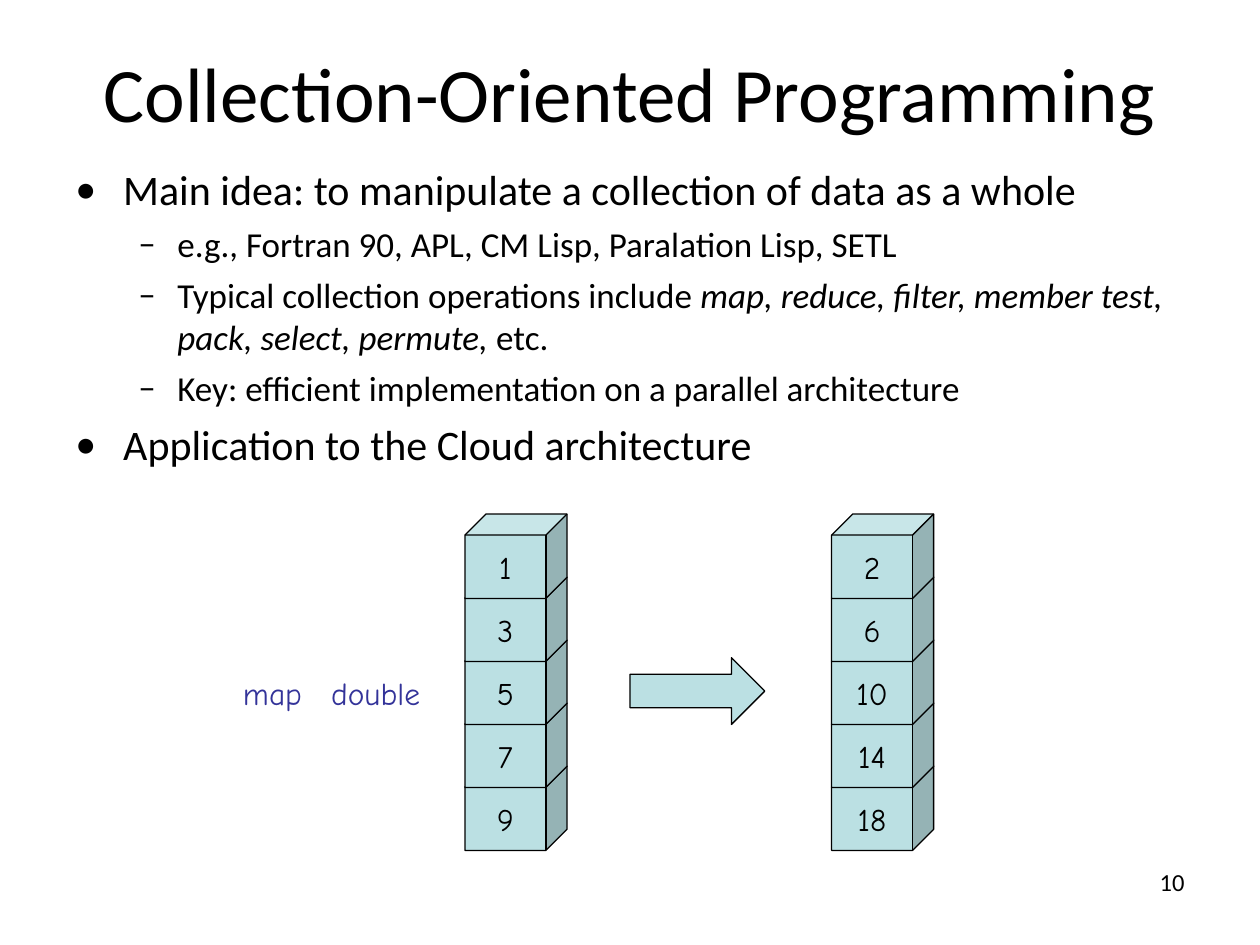
import dataclasses

import pptx
import pptx.dml.color
import pptx.enum.shapes
import pptx.enum.text
import pptx.oxml.ns
import pptx.util
from lxml import etree

Inches = pptx.util.Inches
Pt = pptx.util.Pt
Align = pptx.enum.text.PP_ALIGN
Anchor = pptx.enum.text.MSO_ANCHOR
Preset = pptx.enum.shapes.MSO_SHAPE


@dataclasses.dataclass(frozen=True)
class Theme:
    body_font: str = "Calibri"
    diagram_font: str = "Comic Neue"
    black: str = "000000"
    function_blue: str = "333399"
    cube_fill: str = "BBE0E3"
    title_size: int = 44
    diagram_size: int = 18
    number_size: int = 14
    line_width: float = 0.75


@dataclasses.dataclass(frozen=True)
class Level:
    bullet: str
    size: int
    margin: float
    hanging: float
    space_before: int


THEME = Theme()
LEVELS = (Level("•", 24, 0.38, 0.38, 6), Level("–", 20, 0.81, 0.31, 5))

# Each item is a level and its runs of (text, italic).
BULLETS = (
    (0, [("Main idea: to manipulate a collection of data as a whole", False)]),
    (1, [("e.g., Fortran 90, APL, CM Lisp, Paralation Lisp, SETL", False)]),
    (1, [("Typical collection operations include ", False),
         ("map, reduce, filter, member test, pack, select, permute,", True),
         (" etc.", False)]),
    (1, [("Key: efficient implementation on a parallel architecture", False)]),
    (0, [("Application to the Cloud architecture", False)]),
)
INPUT_VALUES = (1, 3, 5, 7, 9)
STACK_TOP = 4.08
CUBE_STEP = 0.5


def color(value):
    return pptx.dml.color.RGBColor.from_string(value)


def add_run(paragraph, text, size, font=THEME.body_font, fill=THEME.black, italic=False):
    run = paragraph.add_run()
    run.text = text
    run.font.name = font
    run.font.size = Pt(size)
    run.font.italic = italic
    run.font.color.rgb = color(fill)


def add_text_box(slide, left, top, width, height, wrap=True):
    box = slide.shapes.add_textbox(Inches(left), Inches(top), Inches(width), Inches(height))
    box.text_frame.word_wrap = wrap
    return box.text_frame


def add_title(slide, text):
    frame = add_text_box(slide, 0.5, 0.17, 9, 1.12)
    frame.vertical_anchor = Anchor.MIDDLE
    frame.paragraphs[0].alignment = Align.CENTER
    add_run(frame.paragraphs[0], text, THEME.title_size)


def set_bullet(paragraph, level):
    properties = paragraph._p.get_or_add_pPr()
    properties.set("marL", str(Inches(level.margin)))
    properties.set("indent", str(-Inches(level.hanging)))
    font = etree.SubElement(properties, pptx.oxml.ns.qn("a:buFont"))
    font.set("typeface", THEME.body_font)
    bullet = etree.SubElement(properties, pptx.oxml.ns.qn("a:buChar"))
    bullet.set("char", level.bullet)


def add_bullets(slide, items):
    frame = add_text_box(slide, 0.5, 1.25, 9, 4.95)
    for index, (depth, runs) in enumerate(items):
        level = LEVELS[depth]
        paragraph = frame.add_paragraph() if index else frame.paragraphs[0]
        paragraph.level = depth
        set_bullet(paragraph, level)
        paragraph.font.size = Pt(level.size)
        if index:
            paragraph.space_before = Pt(level.space_before)
        for text, italic in runs:
            add_run(paragraph, text, level.size, italic=italic)


def add_block(slide, preset, left, top, width, height):
    shape = slide.shapes.add_shape(
        preset, Inches(left), Inches(top), Inches(width), Inches(height))
    shape.shadow.inherit = False
    shape.fill.solid()
    shape.fill.fore_color.rgb = color(THEME.cube_fill)
    shape.line.color.rgb = color(THEME.black)
    shape.line.width = Pt(THEME.line_width)
    return shape


def add_cube_stack(slide, left, values):
    """Stack cubes from the bottom up, so that each one covers the top of the one below."""
    for row, value in reversed(list(enumerate(values))):
        cube = add_block(slide, Preset.CUBE, left, STACK_TOP + row * CUBE_STEP, 0.81, 0.67)
        cube.adjustments[0] = 0.25
        frame = cube.text_frame
        frame.word_wrap = False
        frame.vertical_anchor = Anchor.MIDDLE
        frame.paragraphs[0].alignment = Align.CENTER
        add_run(frame.paragraphs[0], str(value), THEME.diagram_size, THEME.diagram_font)


def add_function_label(slide, left, width, text):
    frame = add_text_box(slide, left, 5.3, width, 0.4, wrap=False)
    add_run(frame.paragraphs[0], text, THEME.diagram_size,
            THEME.diagram_font, THEME.function_blue)


def add_arrow(slide):
    arrow = add_block(slide, Preset.RIGHT_ARROW, 5, 5.22, 1.07, 0.53)
    arrow.adjustments[0] = 0.5
    arrow.adjustments[1] = 0.5


def add_slide_number(slide, number):
    frame = add_text_box(slide, 7.17, 6.83, 2.33, 0.52)
    frame.paragraphs[0].alignment = Align.RIGHT
    add_run(frame.paragraphs[0], str(number), THEME.number_size)


def main():
    presentation = pptx.Presentation()
    presentation.slide_width = Inches(10)
    presentation.slide_height = Inches(7.5)
    slide = presentation.slides.add_slide(presentation.slide_layouts[6])

    add_title(slide, "Collection-Oriented Programming")
    add_bullets(slide, BULLETS)
    add_cube_stack(slide, 3.69, INPUT_VALUES)
    add_function_label(slide, 1.83, 0.68, "map")
    add_function_label(slide, 2.53, 0.95, "double")
    add_arrow(slide)
    add_cube_stack(slide, 6.6, [2 * value for value in INPUT_VALUES])
    add_slide_number(slide, 10)

    presentation.save("out.pptx")


if __name__ == "__main__":
    main()
